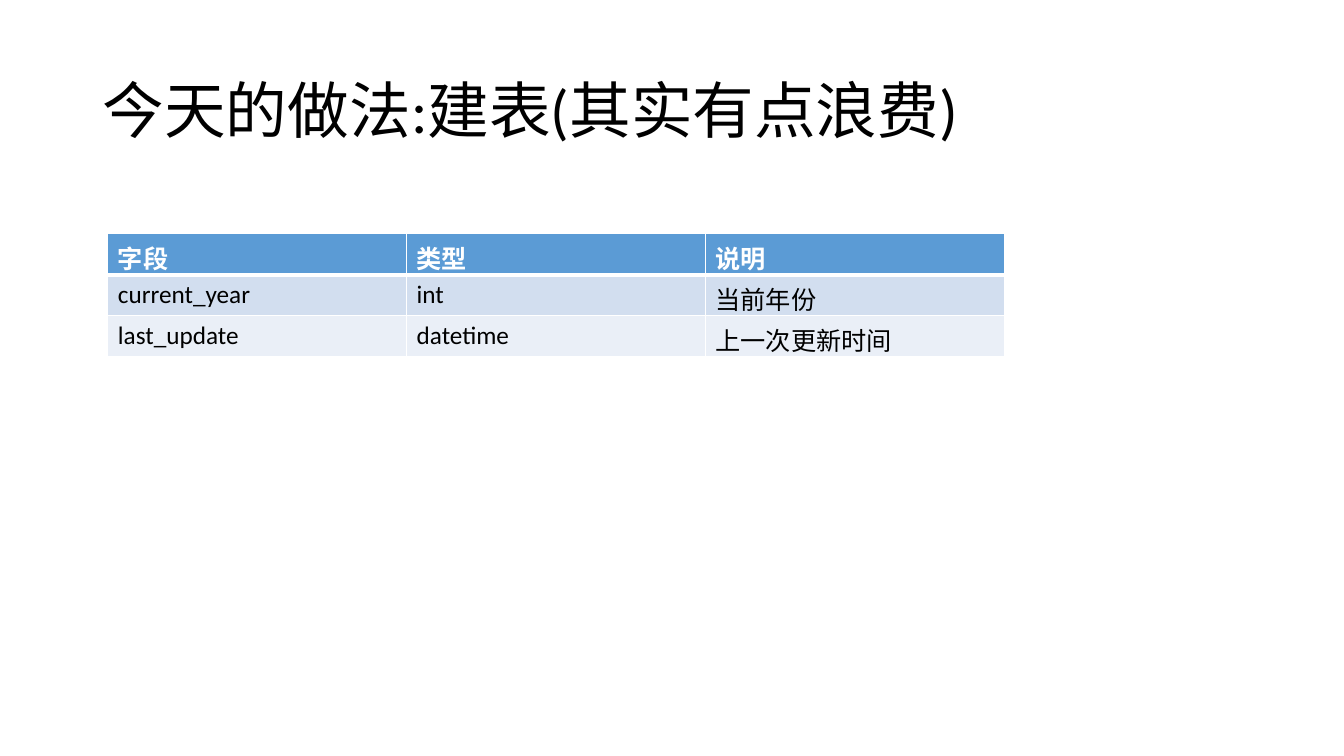
from lxml.etree import SubElement
from pptx import Presentation
from pptx.dml.color import RGBColor
from pptx.enum.text import MSO_ANCHOR
from pptx.oxml.ns import qn
from pptx.util import Inches, Pt

HEADER_FILL = "5B9BD5"
BAND_FILLS = ["D2DEEF", "EAEFF7"]
FIELD_ROWS = [
    ["字段", "类型", "说明"],
    ["current_year", "int", "当前年份"],
    ["last_update", "datetime", "上一次更新时间"],
]
TITLE_FORMAT = {"name": "Calibri", "size": Pt(44), "bold": False}
HEADER_FORMAT = {"name": "Calibri", "size": Pt(18), "bold": True}
BODY_FORMAT = {**HEADER_FORMAT, "bold": False}


def color(hex_code):
    """Turn a hex string into a colour."""
    return RGBColor.from_string(hex_code)


def write(frame, text, font_format, hex_code):
    """Put one formatted run into the first paragraph of a text frame."""
    para = frame.paragraphs[0]
    span = para.add_run()
    span.text = text
    for name, value in font_format.items():
        setattr(span.font, name, value)
    span.font.color.rgb = color(hex_code)
    return para


def add_title(page, text):
    """Add the vertically centred slide title."""
    box = page.shapes.add_textbox(Inches(0.92), Inches(0.4), Inches(11.5), Inches(1.45))
    frame = box.text_frame
    frame.word_wrap = True
    frame.vertical_anchor = MSO_ANCHOR.MIDDLE
    write(frame, text, TITLE_FORMAT, "000000").line_spacing = 0.9


def set_borders(cell, widths, hex_code):
    """Draw solid cell borders, with widths in points by side."""
    properties = cell._tc.get_or_add_tcPr()
    for side, width in widths.items():
        line = SubElement(properties, qn(f"a:ln{side}"), w=str(Pt(width)))
        fill = SubElement(line, qn("a:solidFill"))
        SubElement(fill, qn("a:srgbClr"), val=hex_code)


def add_field_table(page, rows):
    """Add the table of fields with a header row and banded body rows."""
    table = page.shapes.add_table(
        len(rows), len(rows[0]), Inches(1.07), Inches(2.32), Inches(8.89), Inches(1.22)
    ).table
    for row_index, texts in enumerate(rows):
        is_header = row_index == 0
        fill = HEADER_FILL if is_header else BAND_FILLS[(row_index - 1) % 2]
        font_format = HEADER_FORMAT if is_header else BODY_FORMAT
        widths = {"L": 1, "R": 1, "T": 3 if row_index == 1 else 1, "B": 3 if is_header else 1}
        for column_index, text in enumerate(texts):
            cell = table.cell(row_index, column_index)
            set_borders(cell, widths, "FFFFFF")
            cell.fill.solid()
            cell.fill.fore_color.rgb = color(fill)
            write(cell.text_frame, text, font_format, "FFFFFF" if is_header else "000000")


def main():
    """Build the slide and save the deck."""
    deck = Presentation()
    deck.slide_width, deck.slide_height = Inches(13.33), Inches(7.5)
    page = deck.slides.add_slide(deck.slide_layouts[6])
    add_title(page, "今天的做法:建表(其实有点浪费)")
    add_field_table(page, FIELD_ROWS)
    deck.save("out.pptx")


main()
